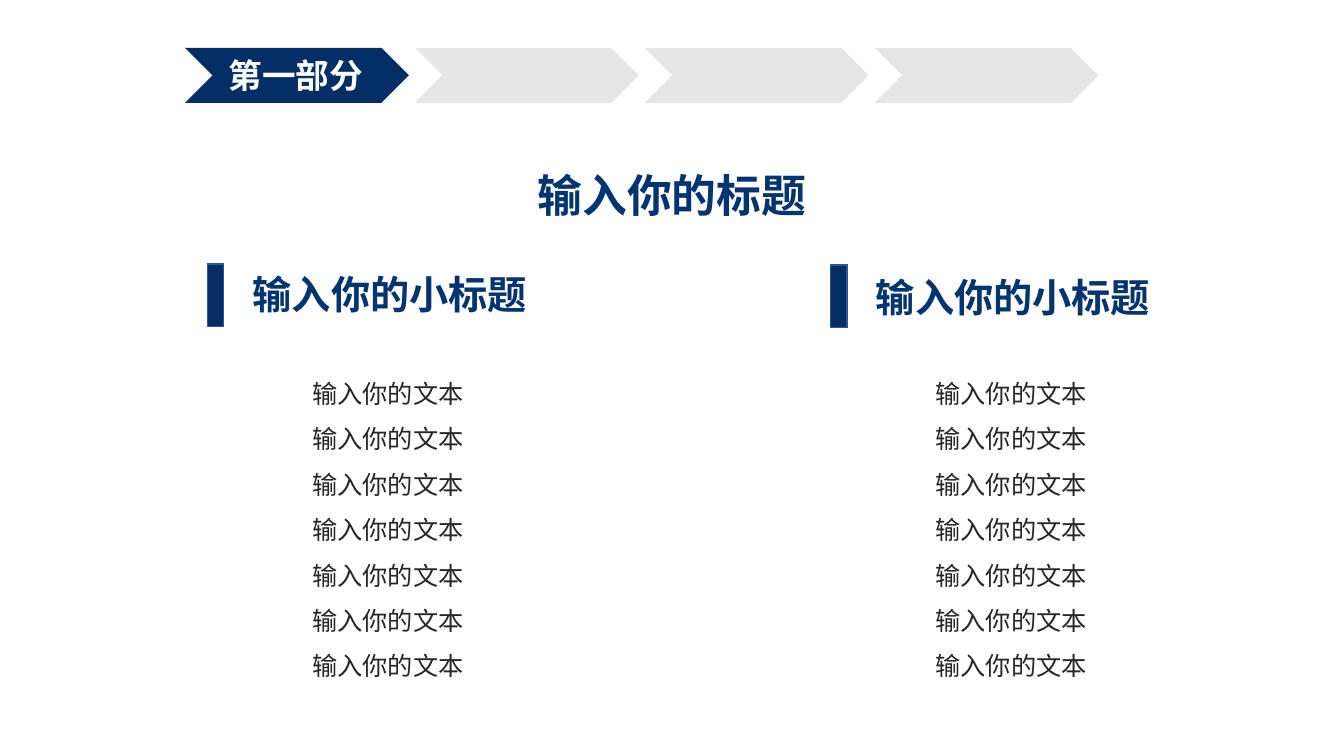
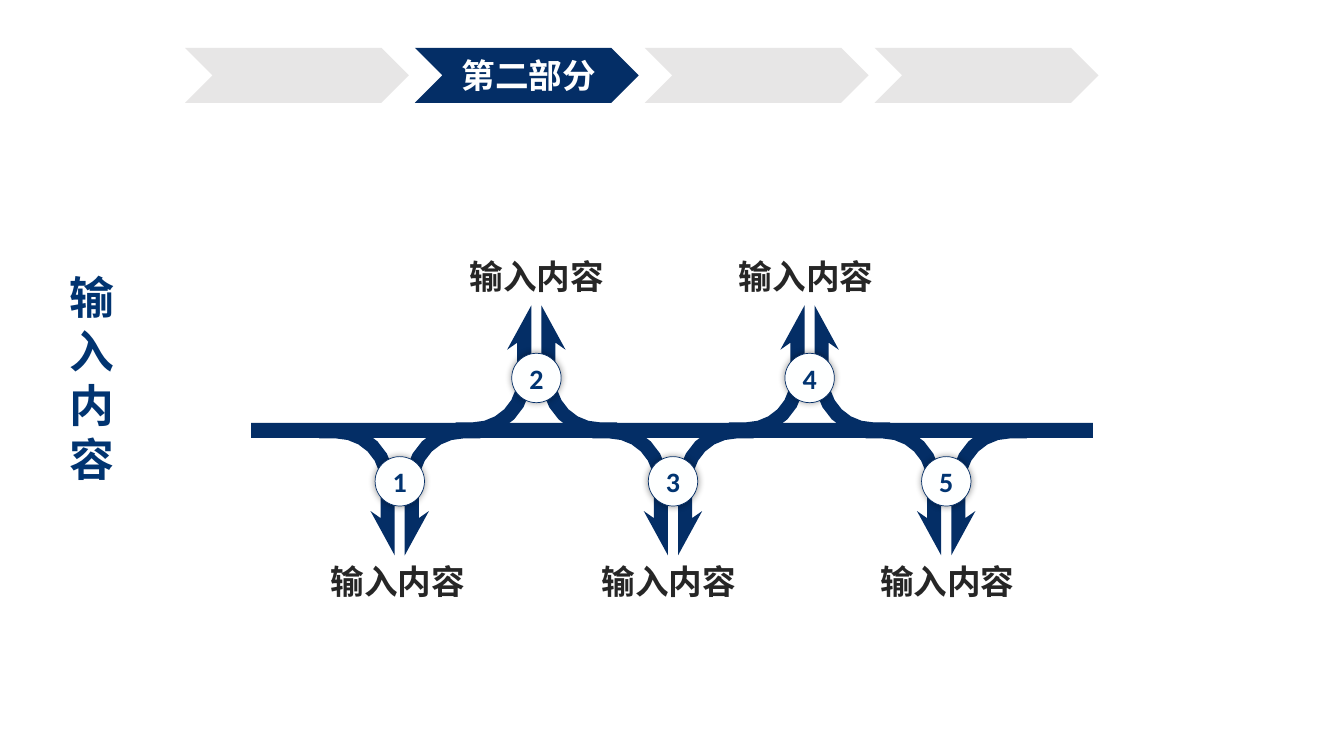
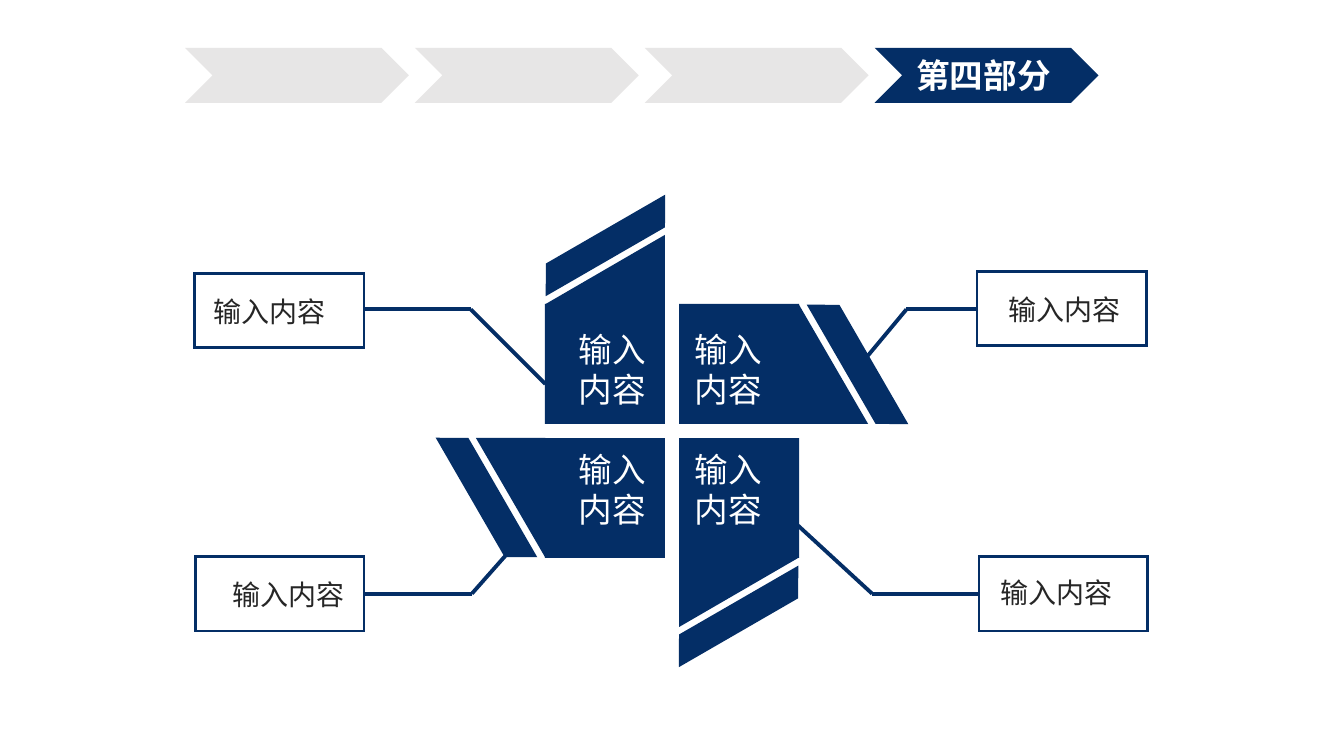
from dataclasses import dataclass
from itertools import pairwise
from math import cos, pi, sin

from lxml.etree import SubElement
from pptx import Presentation
from pptx.dml.color import RGBColor
from pptx.enum.shapes import MSO_CONNECTOR, MSO_SHAPE
from pptx.enum.text import MSO_ANCHOR, MSO_AUTO_SIZE, PP_ALIGN
from pptx.oxml.ns import qn
from pptx.shapes.autoshape import Shape
from pptx.slide import Slide
from pptx.text.text import TextFrame
from pptx.util import Inches, Pt

NAVY, TITLE, EDGE = "042E66", "013471", "2F5597"
GREY, INK, WHITE, PALE = "E7E6E6", "262626", "FFFFFF", "FEFFFF"
CJK, LATIN = "Noto Sans CJK SC", "Calibri"
HUB = (6.665, 4.275)
CONTENT = "输入内容"


@dataclass(frozen=True)
class Box:
    left: float
    top: float
    width: float
    height: float

    def emu(self) -> list[int]:
        return [Inches(v) for v in (self.left, self.top, self.width, self.height)]


@dataclass(frozen=True)
class Style:
    size: float
    color: str
    bold: bool = False
    font: str = CJK
    align: PP_ALIGN = PP_ALIGN.LEFT
    spacing: float | None = None


@dataclass(frozen=True)
class Tab:
    text: str
    left: float
    width: float


@dataclass(frozen=True)
class Callout:
    frame: Box
    label: Box
    leader: tuple[tuple[float, float], ...]


@dataclass(frozen=True)
class Part:
    """A piece of a pinwheel blade, centred at x, y from the hub."""
    kind: MSO_SHAPE
    x: float
    y: float
    width: float
    height: float
    turn: float = 0


HEAD = Style(32, TITLE, True)
SUB = Style(28, TITLE, True)
BODY = Style(18, INK, align=PP_ALIGN.JUSTIFY, spacing=1.5)
LABEL = Style(24, INK, True)
TAB = Style(24, WHITE, True)
BLADE = Style(24, WHITE)
NOTE = Style(20, INK)
DIGIT = Style(20, TITLE, True, LATIN, PP_ALIGN.CENTER)

FIRST = Tab("第一部分", 2.17, 1.55)
SECOND = Tab("第二部分", 4.48, 1.62)
FOURTH = Tab("第四部分", 8.99, 1.59)
FORKS = (
    Box(3.18, 5.52, 1.59, 0.5),
    Box(4.56, 2.49, 1.72, 0.5),
    Box(5.87, 5.52, 1.61, 0.5),
    Box(7.23, 2.49, 1.66, 0.5),
    Box(8.63, 5.52, 1.56, 0.5),
)
PARTS = (
    Part(MSO_SHAPE.RECTANGLE, -0.665, -0.665, 1.19, 1.19),
    Part(MSO_SHAPE.RIGHT_TRIANGLE, -0.665, -1.6, 1.19, 0.69),
    Part(MSO_SHAPE.PARALLELOGRAM, -0.66, -1.84, 1.53, 0.28, 330),
)
CALLOUTS = (
    Callout(Box(1.93, 2.71, 1.68, 0.74), Box(2.02, 2.87, 1.6, 0.44),
            ((3.62, 3.07), (4.67, 3.07), (5.41, 3.81))),
    Callout(Box(9.69, 2.69, 1.68, 0.74), Box(9.9, 2.85, 1.37, 0.44),
            ((9.7, 3.07), (8.99, 3.07), (8.59, 3.55))),
    Callout(Box(1.94, 5.52, 1.67, 0.74), Box(2.21, 5.68, 1.39, 0.44),
            ((3.62, 5.89), (4.68, 5.89), (5.06, 5.46))),
    Callout(Box(9.71, 5.52, 1.67, 0.74), Box(9.82, 5.66, 1.52, 0.44),
            ((9.71, 5.89), (8.65, 5.89), (7.9, 5.2))),
)


def rgb(value: str) -> RGBColor:
    return RGBColor.from_string(value)


def write(frame: TextFrame, lines: list[str], style: Style) -> None:
    frame.word_wrap = True
    frame.auto_size = MSO_AUTO_SIZE.NONE
    for i, line in enumerate(lines):
        para = frame.add_paragraph() if i else frame.paragraphs[0]
        para.alignment = style.align
        if style.spacing:
            para.line_spacing = style.spacing
        run = para.add_run()
        run.text = line
        run.font.size = Pt(style.size)
        run.font.bold = style.bold
        run.font.color.rgb = rgb(style.color)
        run.font.name = style.font
        SubElement(run.font._element, qn("a:ea"), typeface=style.font)


def label(slide: Slide, box: Box, style: Style, *lines: str) -> None:
    write(slide.shapes.add_textbox(*box.emu()).text_frame, list(lines), style)


def title(slide: Slide, box: Box, text: str) -> None:
    shape = slide.shapes.title
    shape.left, shape.top, shape.width, shape.height = box.emu()
    shape.text_frame.vertical_anchor = MSO_ANCHOR.TOP
    write(shape.text_frame, [text], HEAD)


def paint(shape: Shape, fill: str | None, line: str | None = None, width: float = 1) -> None:
    shape.shadow.inherit = False
    if fill:
        shape.fill.solid()
        shape.fill.fore_color.rgb = rgb(fill)
    else:
        shape.fill.background()
    if line:
        shape.line.color.rgb = rgb(line)
        shape.line.width = Pt(width)
        SubElement(shape._element.spPr.find(qn("a:ln")), qn("a:miter"), lim="800000")
    else:
        shape.line.fill.background()


def draw(slide: Slide, kind: MSO_SHAPE, box: Box, fill: str | None,
         line: str | None = None, width: float = 1) -> Shape:
    shape = slide.shapes.add_shape(kind, *box.emu())
    paint(shape, fill, line, width)
    return shape


def tabs(slide: Slide, active: int, tab: Tab) -> None:
    for i in range(4):
        draw(slide, MSO_SHAPE.CHEVRON, Box(1.835 + 2.28 * i, 0.475, 2.22, 0.545),
             NAVY if i == active else GREY)
    label(slide, Box(tab.left, 0.5, tab.width, 0.5), TAB, tab.text)


def column(slide: Slide, left: float, top: float, head: float) -> None:
    draw(slide, MSO_SHAPE.RECTANGLE, Box(left, top, 0.16, 0.62), NAVY, EDGE)
    label(slide, Box(left + 0.35, head, 2.96, 0.57), SUB, "输入你的小标题")
    label(slide, Box(left + 0.94, 3.555, 1.77, 3.28), BODY, *["输入你的文本"] * 7)


def bend(radius: float, start: float, end: float) -> list[tuple[float, float]]:
    """Points on an arc about the centre of a fork's bend, angles in quarter turns."""
    steps = 6
    turns = [(start + (end - start) * i / steps) * pi / 2 for i in range(steps + 1)]
    return [(0.63 - radius * cos(t), 0.59 - radius * sin(t)) for t in turns]


def fork(slide: Slide, mid: float, up: bool) -> None:
    """Two mirrored arrows that leave the rail side by side."""
    half = [(0.05, 1.31), (0.29, 0.87), (0.19, 0.94), *bend(0.44, 0, 1),
            (0.8, 0.15), (0.8, 0), *bend(0.58, 1, 0)]
    base, sign = (4.34, -1) if up else (4.2, 1)
    right, left = ([(Inches(mid + side * x), Inches(base + sign * y)) for x, y in half]
                   for side in (1, -1))
    path = slide.shapes.build_freeform(*right[0], scale=1.0)
    path.add_line_segments(right[1:], close=True)
    path.move_to(*left[0])
    path.add_line_segments(left[1:], close=True)
    paint(path.convert_to_shape(), NAVY)


def badge(slide: Slide, mid: float, up: bool, text: str) -> None:
    shape = draw(slide, MSO_SHAPE.OVAL, Box(mid - 0.245, 3.505 if up else 4.53, 0.49, 0.49),
                 PALE, NAVY, 0.5)
    glow = SubElement(shape._element.spPr.find(qn("a:effectLst")), qn("a:outerShdw"),
                      blurRad=str(Pt(5)), dist="0", dir="0", algn="ctr", rotWithShape="0")
    tint = SubElement(glow, qn("a:srgbClr"), val="000000")
    SubElement(tint, qn("a:alpha"), val="40000")
    frame = shape.text_frame
    frame.margin_left = frame.margin_right = frame.margin_top = frame.margin_bottom = 0
    frame.vertical_anchor = MSO_ANCHOR.MIDDLE
    write(frame, [text], DIGIT)


def blade(slide: Slide, quarter: int) -> None:
    """The upper left blade, turned clockwise about the hub by quarter turns."""
    for part in PARTS:
        x, y = part.x, part.y
        for _ in range(quarter):
            x, y = -y, x
        box = Box(HUB[0] + x - part.width / 2, HUB[1] + y - part.height / 2,
                  part.width, part.height)
        shape = draw(slide, part.kind, box, NAVY)
        shape.rotation = (part.turn + 90 * quarter) % 360
        if part.kind == MSO_SHAPE.RIGHT_TRIANGLE:
            shape._element.spPr.find(qn("a:xfrm")).set("flipH", "1")
        if part.kind == MSO_SHAPE.PARALLELOGRAM:
            shape.adjustments[0] = 0.584


def callout(slide: Slide, item: Callout) -> None:
    draw(slide, MSO_SHAPE.RECTANGLE, item.frame, None, NAVY, 2)
    label(slide, item.label, NOTE, CONTENT)
    for start, end in pairwise(item.leader):
        line = slide.shapes.add_connector(
            MSO_CONNECTOR.STRAIGHT, *[Inches(v) for v in (*start, *end)])
        line.line.color.rgb = rgb(NAVY)
        line.line.width = Pt(2.75)
        SubElement(line._element.spPr, qn("a:effectLst"))


def columns(slide: Slide) -> None:
    title(slide, Box(5.23, 1.61, 2.9, 0.64), "输入你的标题")
    column(slide, 2.06, 2.62, 2.63)
    column(slide, 8.24, 2.63, 2.66)
    tabs(slide, 0, FIRST)


def rail(slide: Slide) -> None:
    title(slide, Box(0.59, 2.63, 0.65, 2.25), CONTENT)
    draw(slide, MSO_SHAPE.RECTANGLE, Box(2.49, 4.195, 8.35, 0.15), NAVY)
    for i, box in enumerate(FORKS):
        mid, up = 3.965 + 1.355 * i, i % 2 == 1
        label(slide, box, LABEL, CONTENT)
        fork(slide, mid, up)
        badge(slide, mid, up, str(i + 1))
    tabs(slide, 1, SECOND)


def wheel(slide: Slide) -> None:
    for quarter in range(4):
        blade(slide, quarter)
    for top in (3.21, 4.4):
        for left in (5.64, 6.79):
            label(slide, Box(left, top, 0.9, 0.91), BLADE, CONTENT)
    for item in CALLOUTS:
        callout(slide, item)
    tabs(slide, 3, FOURTH)


def main() -> None:
    deck = Presentation()
    deck.slide_width, deck.slide_height = Inches(13.33), Inches(7.5)
    titled, blank = deck.slide_layouts[5], deck.slide_layouts[6]
    for build, layout in ((columns, titled), (rail, titled), (wheel, blank)):
        build(deck.slides.add_slide(layout))
    deck.save("out.pptx")


if __name__ == "__main__":
    main()
